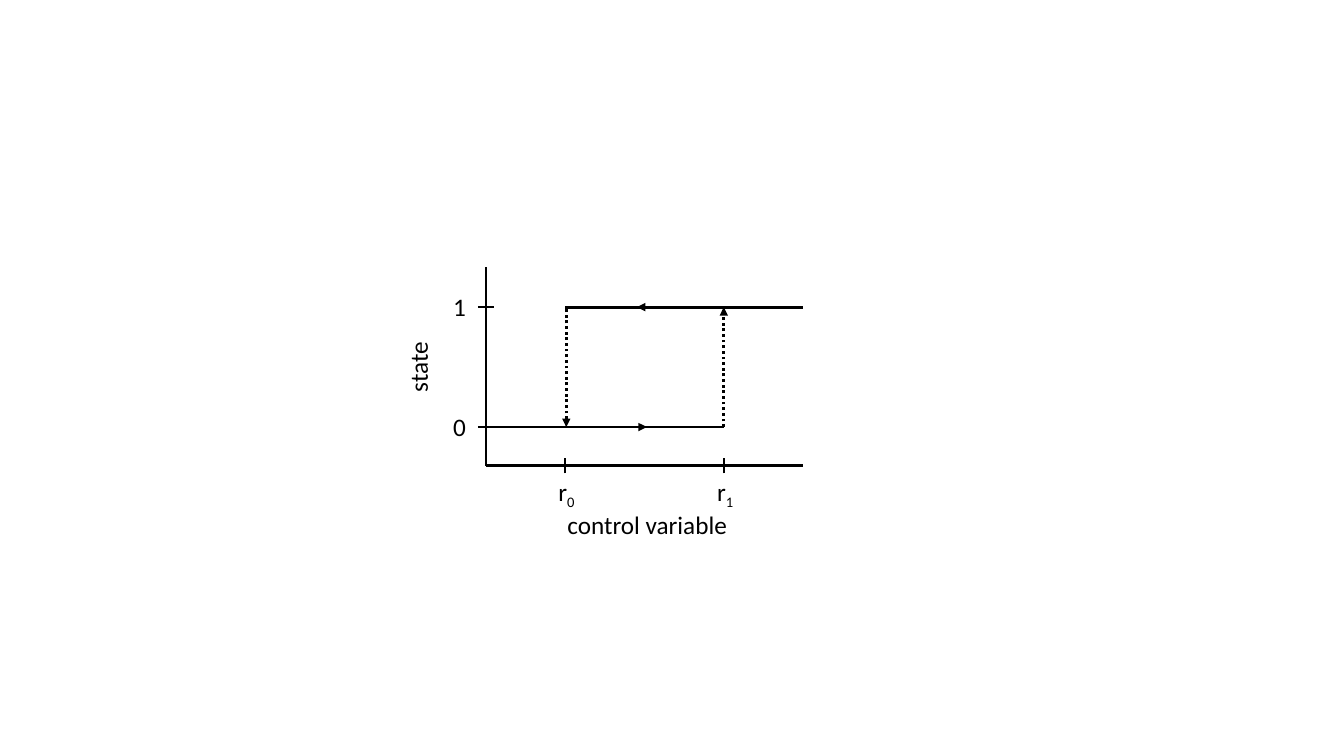
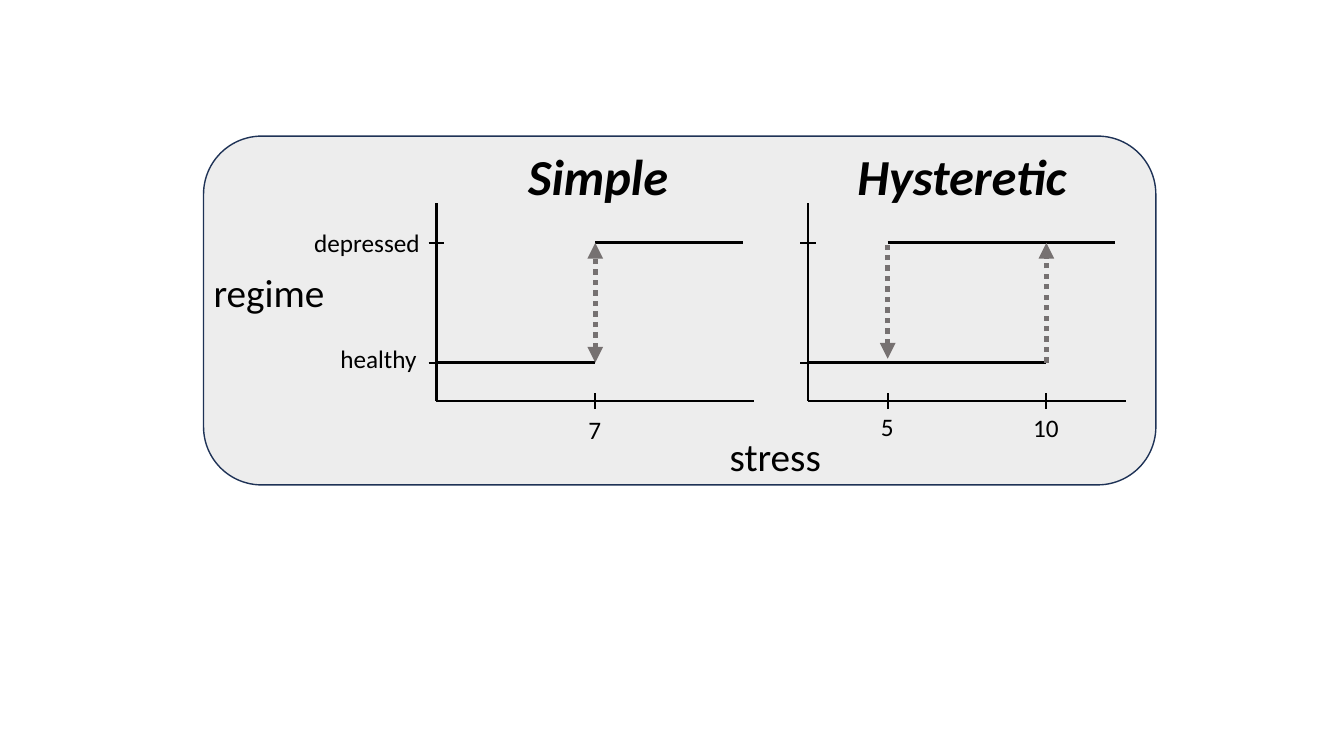
from lxml import etree
from pptx import Presentation, util as u
from pptx.dml import color
from pptx.enum import dml, shapes, text
from pptx.oxml import ns

COLORS = {"ink": "000000", "jump": "767171", "border": "1E3256"}
FONT = "Calibri"
LABEL, AXIS_NAME, TITLE = 18, 28, 36
LINE_HEIGHTS = {LABEL: 1.03, AXIS_NAME: 1.45, TITLE: 1.8}

# Plot geometry in centimetres, measured right and up from the origin.
AXIS_WIDTH, AXIS_HEIGHT, TICK = 8, 5, 0.2
LOW, HIGH = 0.97, 3.99
MIDDLE = (LOW + HIGH) / 2


def rgb(name):
    """Return the named colour."""
    return color.RGBColor.from_string(COLORS[name])


class Sketch:
    """Draws plots on the current slide, relative to a movable origin."""

    def __init__(self, deck):
        """Keep the deck; pages are added later."""
        self.deck = deck
        self.page = None
        self.origin = (0, 0)

    def new_page(self):
        """Start a blank slide."""
        self.page = self.deck.slides.add_slide(self.deck.slide_layouts[6])

    def place(self, x, y):
        """Turn plot coordinates into slide lengths."""
        left, base = self.origin
        return u.Cm(left + x), u.Cm(base - y)

    def line(self, start, end, width=2, ink="ink", dotted=False, head=False, tail=False):
        """Draw a line; head marks its start and tail its end with an arrow."""
        link = self.page.shapes.add_connector(
            shapes.MSO_CONNECTOR.STRAIGHT, *self.place(*start), *self.place(*end))
        link.line.width = u.Pt(width)
        link.line.color.rgb = rgb(ink)
        if dotted:
            link.line.dash_style = dml.MSO_LINE.ROUND_DOT
        stroke = link.line._get_or_add_ln()
        for tag, wanted in (("a:headEnd", head), ("a:tailEnd", tail)):
            if wanted:
                etree.SubElement(stroke, ns.qn(tag), type="triangle")
        etree.SubElement(link._element.spPr, ns.qn("a:effectLst"))

    def axes(self, origin, x_ticks):
        """Move the origin and draw both axes with their ticks."""
        self.origin = origin
        self.line((0, 0), (AXIS_WIDTH, 0), 1.5)
        self.line((0, 0), (0, AXIS_HEIGHT), 1.5)
        for y in (LOW, HIGH):
            self.line((-TICK, y), (TICK, y), 1.5)
        for x in x_ticks:
            self.line((x, -TICK), (x, TICK), 1.5)

    def label(self, words, x, y, width, size=LABEL, subscript="", title=False, rotation=0):
        """Write one line of text centred on a plot position."""
        height = LINE_HEIGHTS[size]
        box = self.page.shapes.add_textbox(
            *self.place(x - width / 2, y + height / 2), u.Cm(width), u.Cm(height))
        box.rotation = rotation
        frame = box.text_frame
        frame.word_wrap = False
        frame.auto_size = text.MSO_AUTO_SIZE.SHAPE_TO_FIT_TEXT
        para = frame.paragraphs[0]
        para.font.name = FONT
        para.font.size = u.Pt(size)
        para.font.color.rgb = rgb("ink")
        if title:
            para.font.bold = para.font.italic = True
        para.add_run().text = words
        if subscript:
            span = para.add_run()
            span.text = subscript
            span._r.get_or_add_rPr().set("baseline", "-25000")

    def panel(self, left, top, width, height):
        """Draw the rounded, faintly tinted background."""
        panel = self.page.shapes.add_shape(
            shapes.MSO_SHAPE.ROUNDED_RECTANGLE,
            u.Cm(left), u.Cm(top), u.Cm(width), u.Cm(height))
        panel.shadow.inherit = False
        panel.fill.solid()
        panel.fill.fore_color.rgb = rgb("ink")
        tint = panel._element.spPr.find(".//" + ns.qn("a:srgbClr"))
        etree.SubElement(tint, ns.qn("a:alpha"), val="7000")
        panel.line.color.rgb = rgb("border")
        panel.line.width = u.Pt(1)


def hysteresis_page(sketch):
    """Build the plot of state against control variable."""
    sketch.new_page()
    r0, r1 = 2, 6
    sketch.axes((12.24, 11.73), (r0, r1))
    sketch.line((0, LOW), (4.06, LOW), tail=True)
    sketch.line((3.81, LOW), (r1, LOW))
    sketch.line((3.81, HIGH), (AXIS_WIDTH, HIGH), head=True)
    sketch.line((r0, HIGH), (4.22, HIGH))
    sketch.line((r1, LOW), (r1, HIGH), dotted=True, tail=True)
    sketch.line((r0 + 0.03, LOW), (r0 + 0.03, HIGH), dotted=True, head=True)
    for words, y in (("1", HIGH), ("0", LOW)):
        sketch.label(words, -0.65, y, 0.84)
    for subscript, x in (("0", r0), ("1", r1)):
        sketch.label("r", x + 0.07, -0.66, 0.97, subscript=subscript)
    sketch.label("state", -1.7, MIDDLE, 1.78, rotation=270)
    sketch.label("control variable", 4.17, -1.5, 4.72)


def regimes_page(sketch):
    """Build the simple and hysteretic plots side by side."""
    sketch.new_page()
    sketch.panel(5.13, 3.43, 24, 8.79)
    base, branch_end = 10.11, 7.72
    jump = {"width": 3.75, "ink": "jump", "dotted": True}

    down, up = 2, 6
    sketch.axes((20.37, base), (down, up))
    sketch.line((0, LOW), (up, LOW))
    sketch.line((down, HIGH), (branch_end, HIGH))
    sketch.line((up, LOW), (up, HIGH), tail=True, **jump)
    sketch.line((down, LOW + 0.1), (down, HIGH), head=True, **jump)
    sketch.label("5", down, -0.64, 0.84)
    sketch.label("10", up, -0.66, 1.17)
    sketch.label("Hysteretic", 3.91, 5.68, 5.84, TITLE, title=True)

    switch = 4
    sketch.axes((11, base), (switch,))
    sketch.line((0, LOW), (switch, LOW))
    sketch.line((switch, HIGH), (branch_end, HIGH))
    sketch.line((switch, LOW), (switch, HIGH), head=True, tail=True, **jump)
    sketch.label("depressed", -1.73, HIGH, 3.2)
    sketch.label("healthy", -1.44, 1.07, 2.46)
    sketch.label("7", switch, -0.71, 0.84)
    sketch.label("stress", 8.56, -1.38, 2.84, AXIS_NAME)
    sketch.label("regime", -4.2, 2.76, 3.33, AXIS_NAME)
    sketch.label("Simple", 4.09, 5.68, 4.06, TITLE, title=True)


def main():
    """Build and save the deck."""
    deck = Presentation()
    deck.slide_width, deck.slide_height = u.Cm(33.87), u.Cm(19.05)
    sketch = Sketch(deck)
    hysteresis_page(sketch)
    regimes_page(sketch)
    deck.save("out.pptx")


main()
